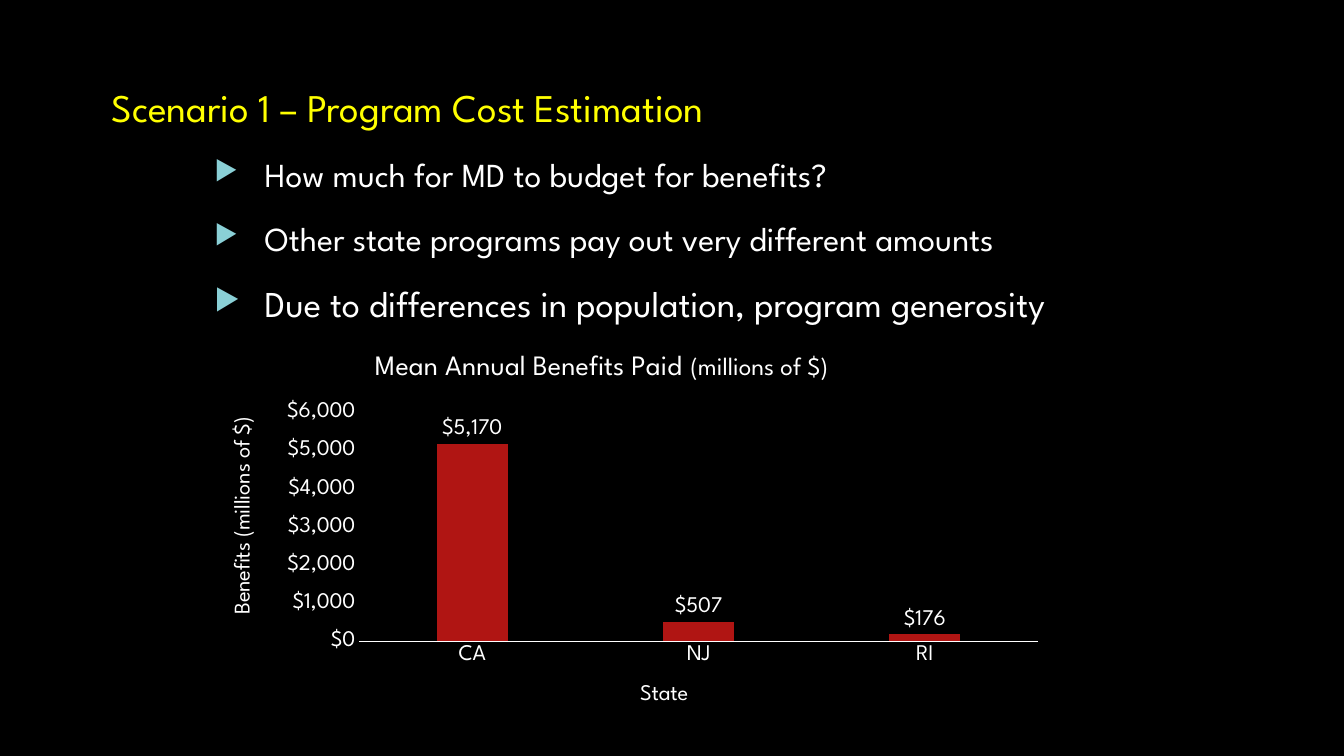
from lxml import etree
from pptx import Presentation
from pptx.chart.data import CategoryChartData
from pptx.dml.color import RGBColor
from pptx.enum.chart import XL_CHART_TYPE, XL_LABEL_POSITION, XL_TICK_MARK
from pptx.oxml.ns import qn
from pptx.util import Pt

COLUMNS = XL_CHART_TYPE.COLUMN_CLUSTERED
OUTSIDE_END = XL_LABEL_POSITION.OUTSIDE_END
NO_TICK = XL_TICK_MARK.NONE


def color(value):
    return RGBColor.from_string(value)


def add_xml(parent, tag, **attributes):
    return etree.SubElement(parent, qn(tag), attributes)


def set_layout(element, index, x, y, size=None):
    for old_layout in element.findall(qn("c:layout")):
        element.remove(old_layout)
    layout = etree.Element(qn("c:layout"))
    manual = add_xml(layout, "c:manualLayout")
    if size:
        add_xml(manual, "c:layoutTarget", val="inner")
    add_xml(manual, "c:xMode", val="edge")
    add_xml(manual, "c:yMode", val="edge")
    add_xml(manual, "c:x", val=str(x))
    add_xml(manual, "c:y", val=str(y))
    if size:
        add_xml(manual, "c:w", val=str(size[0]))
        add_xml(manual, "c:h", val=str(size[1]))
    element.insert(index, layout)


class SlideBuilder:
    font_name = "League Spartan"
    background = "000000"
    text_color = "FFFFFF"
    heading_color = "FFFF00"
    bullet_color = "8AD0D6"
    bar_color = "B01513"
    chart_size = 16
    money_format = '"$"#,##0'

    def __init__(self, presentation):
        self.slide = presentation.slides.add_slide(presentation.slide_layouts[6])
        fill = self.slide.background.fill
        fill.solid()
        fill.fore_color.rgb = color(self.background)

    def style_font(self, font, size, font_color=None):
        font.name = self.font_name
        font.size = Pt(size)
        font.bold = False
        font.color.rgb = color(font_color or self.text_color)

    def add_run(self, paragraph, text, size, font_color=None):
        run = paragraph.add_run()
        run.text = text
        self.style_font(run.font, size, font_color)

    def add_text_frame(self, left, top, width, height):
        shape = self.slide.shapes.add_textbox(Pt(left), Pt(top), Pt(width), Pt(height))
        shape.text_frame.word_wrap = True
        return shape.text_frame

    def format_paragraph(self, paragraph, left_margin, indent=0):
        paragraph.level = 2
        paragraph.space_before = Pt(8.4)
        paragraph.space_after = Pt(8.4)
        properties = paragraph._p.get_or_add_pPr()
        properties.set("marL", str(Pt(left_margin)))
        properties.set("indent", str(Pt(indent)))
        return properties

    def add_heading(self, paragraph, text):
        self.format_paragraph(paragraph, 8.64)
        self.add_run(paragraph, text, 28, self.heading_color)

    def add_bullet(self, paragraph, text, size):
        properties = self.format_paragraph(paragraph, 118, -36)
        bullet_color = add_xml(properties, "a:buClr")
        add_xml(bullet_color, "a:srgbClr", val=self.bullet_color)
        add_xml(properties, "a:buSzPct", val="80000")
        add_xml(properties, "a:buChar", char="▶")
        self.add_run(paragraph, text, size)

    def set_title(self, title, x, y, runs, rotation=0):
        paragraph = title.text_frame.paragraphs[0]
        for text, size in runs:
            self.add_run(paragraph, text, size)
        title.text_frame._txBody.bodyPr.set("rot", str(rotation))
        set_layout(title._element, 1, x, y)

    def format_axis(self, axis):
        axis.has_major_gridlines = False
        axis.major_tick_mark = NO_TICK
        axis.minor_tick_mark = NO_TICK
        self.style_font(axis.tick_labels.font, self.chart_size)

    def add_benefits_chart(self, left, top, width, height, benefits):
        data = CategoryChartData(number_format=self.money_format)
        data.categories = list(benefits)
        data.add_series("Series 1", list(benefits.values()))
        chart = self.slide.shapes.add_chart(
            COLUMNS, Pt(left), Pt(top), Pt(width), Pt(height), data
        ).chart
        chart.has_legend = False
        self.style_font(chart.font, self.chart_size)
        set_layout(chart._chartSpace.chart.plotArea, 0, 0.185, 0.171, (0.797, 0.594))

        plot = chart.plots[0]
        plot.gap_width = 219
        plot.overlap = -27
        plot.vary_by_categories = False
        fill = plot.series[0].format.fill
        fill.solid()
        fill.fore_color.rgb = color(self.bar_color)
        plot.has_data_labels = True
        labels = plot.data_labels
        labels.show_value = True
        labels.position = OUTSIDE_END
        labels.number_format = self.money_format
        labels.number_format_is_linked = False
        self.style_font(labels.font, self.chart_size)

        states, amounts = chart.category_axis, chart.value_axis
        self.format_axis(states)
        states.format.line.color.rgb = color(self.text_color)
        states.format.line.width = Pt(0.75)
        self.format_axis(amounts)
        amounts.format.line.fill.background()
        amounts.minimum_scale = 0
        amounts.maximum_scale = 6000
        amounts.major_unit = 1000
        amounts.tick_labels.number_format = self.money_format
        amounts.tick_labels.number_format_is_linked = False

        chart.has_title = True
        self.set_title(chart.chart_title, 0.2, 0.01,
                       [("Mean Annual Benefits Paid ", 20), ("(millions of $)", 18)])
        self.set_title(states.axis_title, 0.51, 0.86, [("State", self.chart_size)])
        self.set_title(amounts.axis_title, 0.03, 0.17,
                       [("Benefits (millions of $)", self.chart_size)], -5400000)


def main():
    presentation = Presentation()
    presentation.slide_width = Pt(960)
    presentation.slide_height = Pt(540)
    builder = SlideBuilder(presentation)
    text_frame = builder.add_text_frame(64, 56, 841, 387)
    builder.add_heading(text_frame.paragraphs[0], "Scenario 1 – Program Cost Estimation")
    for text, size in (
        ("How much for MD to budget for benefits?", 24),
        ("Other state programs pay out very different amounts", 24),
        ("Due to differences in population, program generosity", 26),
    ):
        builder.add_bullet(text_frame.add_paragraph(), text, size)
    builder.add_benefits_chart(144, 247.7, 608.4, 275, {"CA": 5170, "NJ": 507, "RI": 176})
    presentation.save("out.pptx")


if __name__ == "__main__":
    main()
